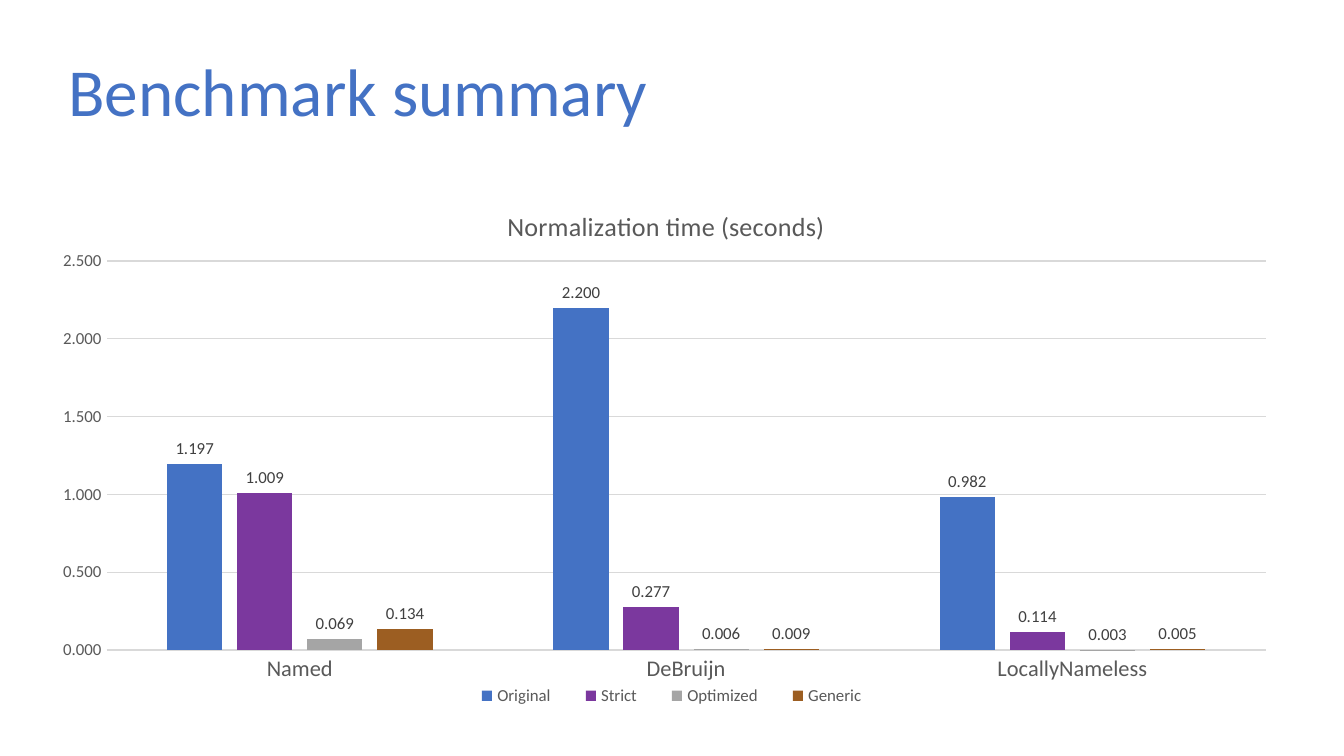
from lxml import etree
from pptx import Presentation
from pptx.chart.data import CategoryChartData
from pptx.dml.color import RGBColor
from pptx.enum.chart import XL_CHART_TYPE, XL_LABEL_POSITION, XL_LEGEND_POSITION, XL_TICK_MARK
from pptx.enum.text import MSO_ANCHOR, PP_ALIGN
from pptx.oxml.ns import qn
from pptx.util import Pt

CLUSTERED = XL_CHART_TYPE.COLUMN_CLUSTERED
OUTSIDE_END = XL_LABEL_POSITION.OUTSIDE_END
BOTTOM = XL_LEGEND_POSITION.BOTTOM
NO_TICK = XL_TICK_MARK.NONE
MIDDLE = MSO_ANCHOR.MIDDLE
LEFT = PP_ALIGN.LEFT

EMU_PER_PX = 914400 / 134.4
FONT = "Calibri"
NUMBER_FORMAT = "0.000"
COLORS = {
    "title": "4472C4",
    "text": "595959",
    "label": "404040",
    "grid": "D9D9D9",
    "Original": "4472C4",
    "Strict": "7B389E",
    "Optimized": "A5A5A5",
    "Generic": "9C5E22",
}
CATEGORIES = ["Named", "DeBruijn", "LocallyNameless"]
TIMES = {
    "Original": [1.197, 2.2, 0.982],
    "Strict": [1.009, 0.277, 0.114],
    "Optimized": [0.069, 0.006, 0.003],
    "Generic": [0.134, 0.009, 0.005],
}


def px(n):
    return round(n * EMU_PER_PX)


def rgb(name):
    return RGBColor.from_string(COLORS[name])


def set_font(font, size, color):
    font.name = FONT
    font.size = Pt(size)
    font.bold = False
    font.color.rgb = rgb(color)


def set_line(line):
    line.color.rgb = rgb("grid")
    line.width = Pt(0.75)


def set_layout(parent, index, target=None, **fractions):
    for old in parent.findall(qn("c:layout")):
        parent.remove(old)
    layout = etree.Element(qn("c:layout"))
    manual = etree.SubElement(layout, qn("c:manualLayout"))
    settings = {"layoutTarget": target} if target else {}
    settings.update(xMode="edge", yMode="edge", **fractions)
    for tag, value in settings.items():
        etree.SubElement(manual, qn(f"c:{tag}")).set("val", str(value))
    parent.insert(index, layout)


def add_title(s, text):
    sp = s.shapes.title
    sp.left, sp.top, sp.width, sp.height = map(px, (55, 35, 1159, 120))
    tf = sp.text_frame
    tf.text = text
    tf.word_wrap = True
    tf.vertical_anchor = MIDDLE
    p = tf.paragraphs[0]
    p.alignment = LEFT
    p.line_spacing = 0.9
    set_font(p.runs[0].font, 36, "title")


def format_axes(chart):
    for axis, size in ((chart.category_axis, 12), (chart.value_axis, 9)):
        axis.major_tick_mark = axis.minor_tick_mark = NO_TICK
        set_font(axis.tick_labels.font, size, "text")
    set_line(chart.category_axis.format.line)
    axis = chart.value_axis
    axis.minimum_scale, axis.maximum_scale, axis.major_unit = 0, 2.5, 0.5
    axis.format.line.fill.background()
    axis.has_major_gridlines = True
    set_line(axis.major_gridlines.format.line)
    axis.tick_labels.number_format = NUMBER_FORMAT
    axis.tick_labels.number_format_is_linked = False


def format_series(plot):
    plot.gap_width = 219
    plot.overlap = -27
    plot.vary_by_categories = False
    for series in plot.series:
        series.invert_if_negative = False
        series.format.fill.solid()
        series.format.fill.fore_color.rgb = rgb(series.name)
        labels = series.data_labels
        labels.show_value = True
        labels.position = OUTSIDE_END
        labels.number_format = NUMBER_FORMAT
        labels.number_format_is_linked = False
        set_font(labels.font, 9, "label")


def add_column_chart(s, title):
    data = CategoryChartData(number_format=NUMBER_FORMAT)
    data.categories = CATEGORIES
    for name, values in TIMES.items():
        data.add_series(name, values)
    box = map(px, (39, 176, 1253, 556))
    chart = s.shapes.add_chart(CLUSTERED, *box, data).chart
    chart.font.name = FONT
    chart.font.size = Pt(10)
    chart.has_title = True
    tf = chart.chart_title.text_frame
    tf.text = title
    set_font(tf.paragraphs[0].runs[0].font, 14, "text")
    chart.has_legend = True
    chart.legend.position = BOTTOM
    chart.legend.include_in_layout = False
    set_font(chart.legend.font, 9, "text")
    format_axes(chart)
    format_series(chart.plots[0])
    root = chart.element.find(qn("c:chart"))
    set_layout(root.find(qn("c:title")), 1, x=0.37, y=0.05)
    set_layout(root.find(qn("c:plotArea")), 0, "inner", x=0.054, y=0.153, w=0.925, h=0.7)
    set_layout(root.find(qn("c:legend")), 1, x=0.33, y=0.91, w=0.35, h=0.05)


def main():
    prs = Presentation()
    prs.slide_width, prs.slide_height = px(1344), px(756)
    s = prs.slides.add_slide(prs.slide_layouts[5])
    add_title(s, "Benchmark summary")
    add_column_chart(s, "Normalization time (seconds)")
    prs.save("out.pptx")


if __name__ == "__main__":
    main()
